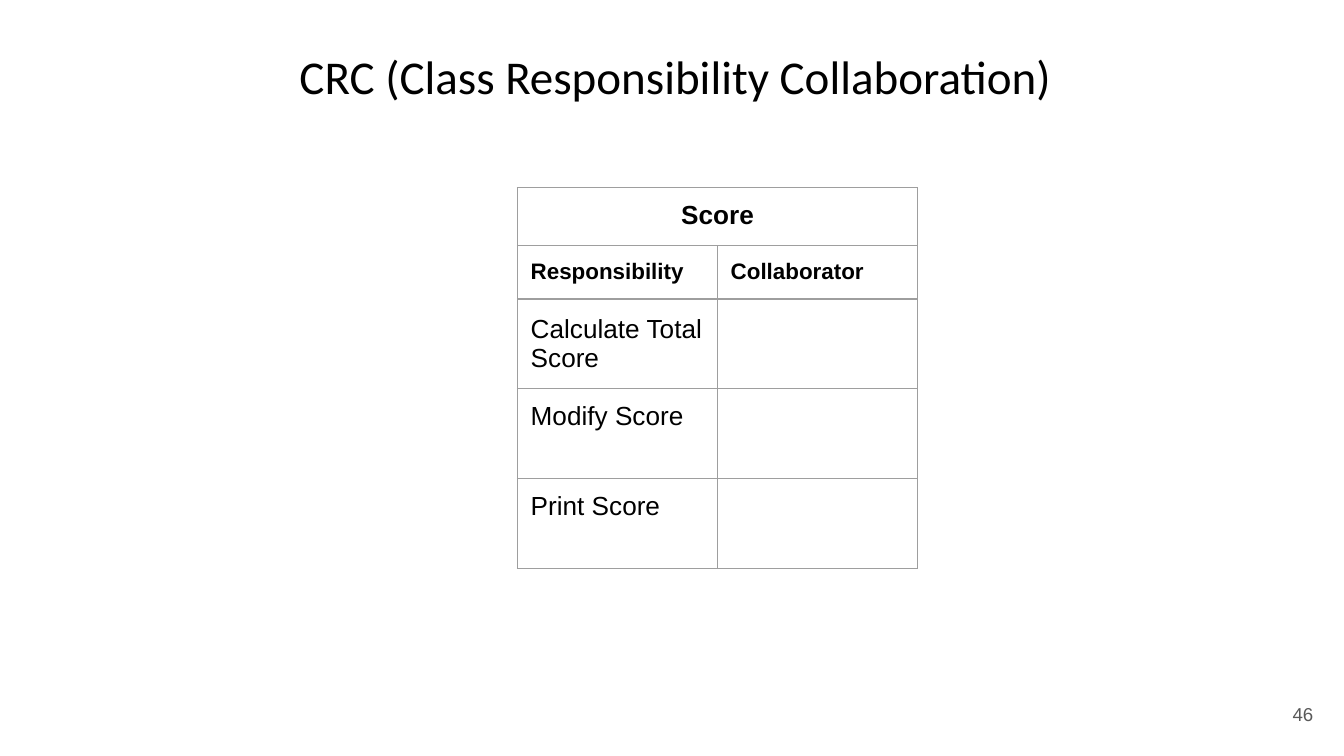
from lxml import etree
from pptx import Presentation
from pptx.dml.color import RGBColor
from pptx.enum.text import MSO_ANCHOR, PP_ALIGN
from pptx.oxml.ns import qn
from pptx.util import Cm, Pt

LEFT, MID, RIGHT = PP_ALIGN.LEFT, PP_ALIGN.CENTER, PP_ALIGN.RIGHT
TOP, CENTRE = MSO_ANCHOR.TOP, MSO_ANCHOR.MIDDLE
PAD = Cm(0.25)


def color(code):
    return RGBColor.from_string(code)


class Deck:
    ink, rule, grey = "000000", "9E9E9E", "595959"
    body, head = "Arial", "Calibri"

    def __init__(self, wide, high):
        self.file = Presentation()
        self.file.slide_width, self.file.slide_height = Cm(wide), Cm(high)
        self.slide = self.file.slides.add_slide(self.file.slide_layouts[6])

    def style(self, para, size, face, ink, bold=False, align=LEFT):
        para.alignment = align
        font = para.font
        font.size, font.name, font.bold = Pt(size), face, bold
        font.color.rgb = color(ink)

    def text(self, words, box, size, face, ink, align=LEFT, anchor=TOP):
        frame = self.slide.shapes.add_textbox(*map(Cm, box)).text_frame
        frame.word_wrap = True
        frame.vertical_anchor = anchor
        frame.margin_left = frame.margin_right = PAD
        frame.margin_top = frame.margin_bottom = PAD
        frame.text = words
        self.style(frame.paragraphs[0], size, face, ink, align=align)

    def border(self, cell):
        props = cell._tc.get_or_add_tcPr()
        for side in ("lnL", "lnR", "lnT", "lnB"):
            line = etree.SubElement(props, qn(f"a:{side}"), w=str(Pt(0.75)))
            fill = etree.SubElement(line, qn("a:solidFill"))
            etree.SubElement(fill, qn("a:srgbClr"), val=self.rule)

    def table(self, rows, spot, width, highs):
        count = len(rows[0])
        x, y = map(Cm, spot)
        grid = self.slide.shapes.add_table(
            len(rows), count, x, y, Cm(width * count), Cm(sum(highs))).table
        grid.first_row = grid.horz_banding = False
        for col in grid.columns:
            col.width = Cm(width)
        for row, high in zip(grid.rows, highs):
            row.height = Cm(high)
        for r, row in enumerate(rows):
            for c, words in enumerate(row):
                cell = grid.cell(r, c)
                cell.margin_left = cell.margin_right = PAD
                cell.margin_top = cell.margin_bottom = PAD
                self.border(cell)
                cell.fill.background()
                cell.text = words
                self.style(cell.text_frame.paragraphs[0], 12 if r == 1 else 14,
                           self.body, self.ink, r < 2, LEFT if r else MID)
        # The class name spans the whole card
        grid.cell(0, 0).merge(grid.cell(0, count - 1))
        return grid


deck = Deck(25.4, 14.29)

# Title
deck.text("CRC (Class Responsibility Collaboration)", (5.41, 0.64, 16.26, 1.6),
          25.2, deck.head, deck.ink)

# CRC card
card = [
    ("Score", ""),
    ("Responsibility", "Collaborator"),
    ("Calculate Total Score", ""),
    ("Modify Score", ""),
    ("Print Score", ""),
]
grid = deck.table(card, (9.78, 3.55), 3.78, (1.05, 0.98, 1.63, 1.7, 1.7))
grid.cell(2, 0).vertical_anchor = CENTRE

# Page number
deck.text("46", (23.55, 12.95, 1.52, 1.09), 10, deck.body, deck.grey,
          RIGHT, CENTRE)

deck.file.save("out.pptx")
